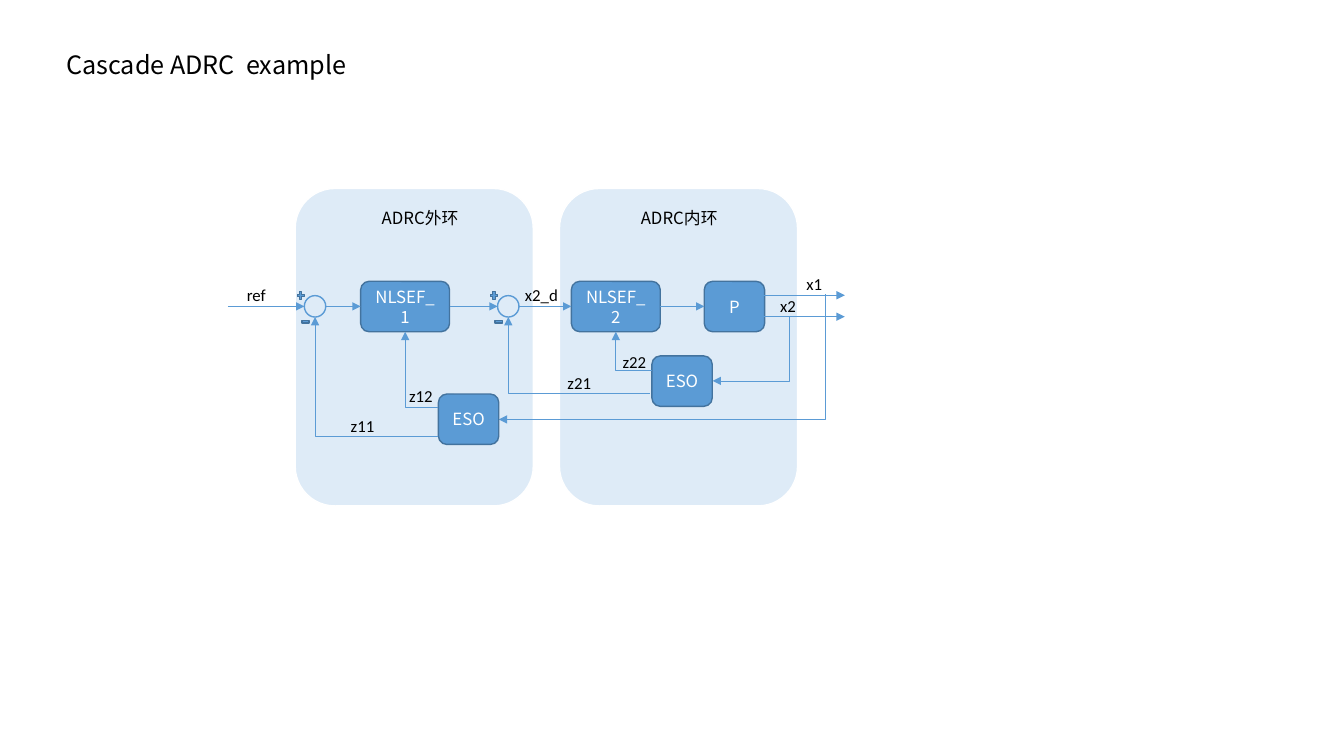
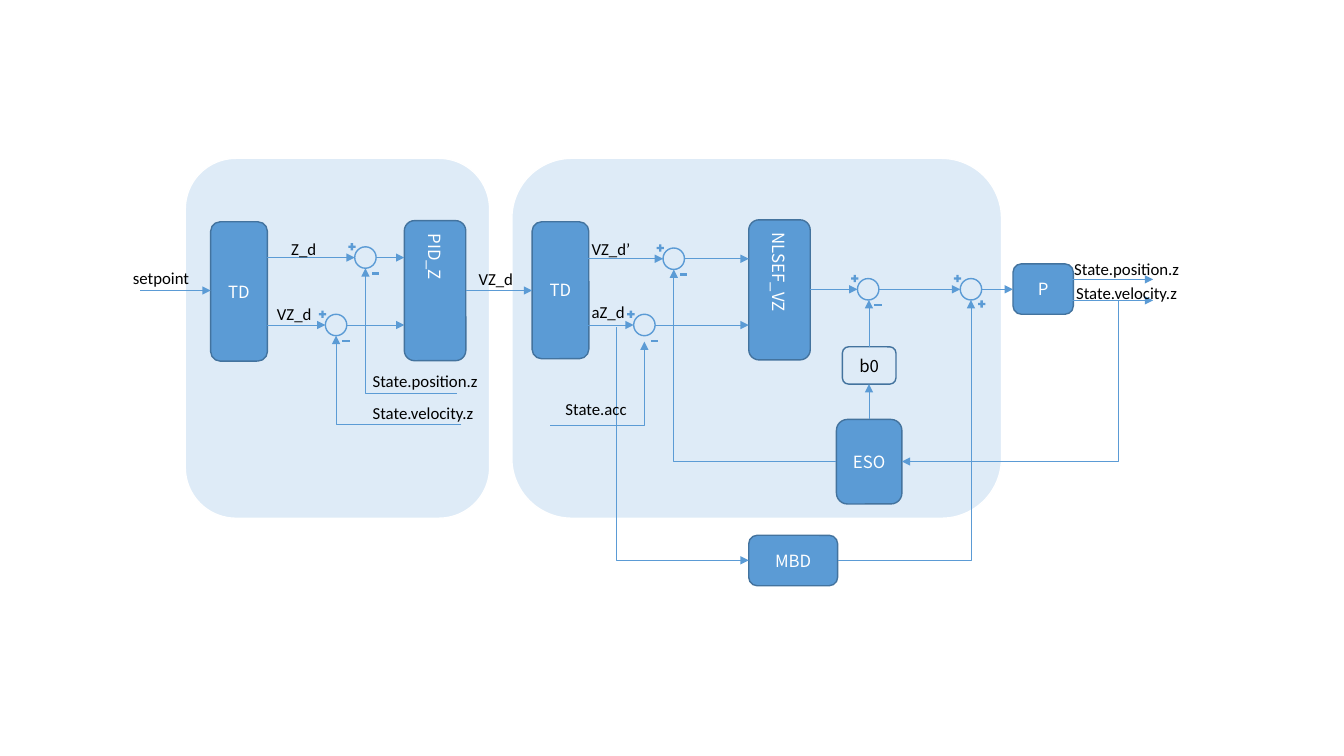
from dataclasses import dataclass
from typing import Any

from lxml.etree import SubElement
from pptx import Presentation
from pptx.dml.color import RGBColor
from pptx.enum.shapes import MSO_CONNECTOR as Link, MSO_SHAPE as Shape
from pptx.enum.text import MSO_ANCHOR as Anchor, PP_ALIGN as Align
from pptx.oxml.ns import qn
from pptx.util import Cm, Pt

COLORS = {
    "panel": "DEEBF7",
    "block": "5B9BD5",
    "edge": "43739E",
    "white": "FFFFFF",
    "black": "000000",
}
LATIN, CJK = "Calibri", "Noto Sans CJK SC"
RADIUS = 0.27  # summing circle
SIGN_SIZE = 0.25
BLOCK_HEIGHT = 1.27
WIDE, NARROW = 2.24, 1.52  # block widths


def color(name):
    return RGBColor.from_string(COLORS[name])


def write(frame, text, font, size, color_name, align=Align.LEFT):
    frame.word_wrap = True
    para = frame.paragraphs[0]
    para.text = text
    para.alignment = align
    para.font.name = font
    para.font.size = Pt(size)
    para.font.color.rgb = color(color_name)
    SubElement(para.font._element, qn("a:ea"), typeface=font)


@dataclass
class Region:
    """A part of a page; its members are placed in cm from its top left corner."""
    page: Any
    left: float
    top: float
    width: float
    height: float

    def spot(self, x, y):
        return Cm(self.left + x), Cm(self.top + y)

    def shape(self, kind, x, y, width, height, fill=None, edge=None, weight=1):
        shape = self.page.shapes.add_shape(kind, *self.spot(x, y), Cm(width), Cm(height))
        shape.shadow.inherit = False
        if fill:
            shape.fill.solid()
            shape.fill.fore_color.rgb = color(fill)
        else:
            shape.fill.background()
        if edge:
            shape.line.color.rgb = color(edge)
            shape.line.width = Pt(weight)
        else:
            shape.line.fill.background()
        return shape

    def panel(self):
        self.shape(Shape.ROUNDED_RECTANGLE, 0, 0, self.width, self.height, "panel", "white")

    def block(self, text, x, y, width=NARROW, height=BLOCK_HEIGHT,
              fill="block", ink="white", vertical=False):
        block = self.shape(Shape.ROUNDED_RECTANGLE, x, y, width, height, fill, "edge")
        frame = block.text_frame
        frame.vertical_anchor = Anchor.MIDDLE
        write(frame, text, CJK, 12, ink, Align.CENTER)
        if vertical:
            frame._txBody.bodyPr.set("vert", "eaVert")

    def label(self, text, x, y, width=1.32, height=0.77, font=LATIN, size=12):
        box = self.page.shapes.add_textbox(*self.spot(x, y), Cm(width), Cm(height))
        write(box.text_frame, text, font, size, "black")

    def summer(self, x, y, signs):
        """Circle centred at x, y; signs are (kind, dx, dy, edge, weight)."""
        self.shape(Shape.FLOWCHART_CONNECTOR, x - RADIUS, y - RADIUS,
                   2 * RADIUS, 2 * RADIUS, edge="block")
        for kind, dx, dy, edge, weight in signs:
            self.shape(kind, x + dx - SIGN_SIZE / 2, y + dy - SIGN_SIZE / 2,
                       SIGN_SIZE, SIGN_SIZE, "block", edge, weight)

    def connect(self, kind, start, end, arrow):
        link = self.page.shapes.add_connector(kind, *self.spot(*start), *self.spot(*end))
        link.line.color.rgb = color("block")
        link.line.width = Pt(0.5)
        properties = link._element.spPr
        SubElement(properties.find(qn("a:ln")), qn(f"a:{arrow}End"), type="triangle")
        SubElement(properties, qn("a:effectLst"))
        return properties

    def arrow(self, start, end):
        self.connect(Link.STRAIGHT, start, end, "tail")

    def flow(self, y, *spans):
        """Level arrows at height y, one for each (from, to) pair."""
        for x1, x2 in spans:
            self.arrow((x1, y), (x2, y))

    def elbow(self, start, end, arrow="tail"):
        """One corner: level from start, then upright to end."""
        properties = self.connect(Link.ELBOW, start, end, arrow)
        properties.find(qn("a:prstGeom")).set("prst", "bentConnector2")
        frame = properties.find(qn("a:xfrm"))
        if frame.get("flipH") and frame.get("flipV"):
            del frame.attrib["flipH"], frame.attrib["flipV"]
            frame.set("rot", "10800000")


CASCADE_SIGNS = (
    (Shape.MATH_PLUS, -0.36, -0.27, "edge", 0),
    (Shape.MATH_MINUS, -0.24, 0.39, "edge", 1),
)
PLUS = (Shape.MATH_PLUS, -0.34, -0.27, None, 0)
MINUS = (Shape.MATH_MINUS, 0.25, 0.4, None, 0)
LOWER_PLUS = (Shape.MATH_PLUS, 0.27, 0.37, None, 0)


def cascade_outer(region):
    axis = 2.97
    region.label("ADRC外环", 1.93, 0.36, 2.44, font=CJK)
    region.block("NLSEF_1", 1.65, 2.34, WIDE)
    region.block("ESO", 3.61, 5.18)
    for x in (0.5, 5.37):
        region.summer(x, axis, CASCADE_SIGNS)
    region.flow(axis, (-1.7, 0.23), (0.77, 1.65), (3.89, 5.1), (5.64, 6.96))
    region.elbow((3.61, 5.52), (2.77, 3.61))
    region.elbow((3.61, 6.25), (0.5, axis + RADIUS))
    region.label("z12", 2.62, 4.85)
    region.label("z11", 1.15, 5.61)
    region.label("x2_d", 5.54, 2.31, 1.7)
    region.label("ref", -1.47, 2.29, 1.7)


def cascade_inner(region):
    region.label("ADRC内环", 1.8, 0.36, 2.44, font=CJK)
    region.block("NLSEF_2", 0.3, 2.34, WIDE)
    region.block("P", 3.65, 2.34)
    region.block("ESO", 2.33, 4.22)
    region.flow(2.97, (2.54, 3.65))
    for y in (2.69, 3.23):
        region.flow(y, (4.95, 7.19))
    region.elbow((3.86, 4.85), (5.79, 3.23), "head")
    region.elbow((-1.53, 5.82), (6.7, 2.67), "head")
    region.elbow((2.28, 5.16), (-1.29, 3.24))
    region.elbow((2.33, 4.57), (1.42, 3.61))
    region.label("x1", 5.97, 2.03)
    region.label("x2", 5.31, 2.59)
    region.label("z22", 1.34, 3.99)
    region.label("z21", -0.05, 4.52)


def position_loop(region):
    upper, middle, lower = 2.5, 3.33, 4.2
    region.block("TD", 0.64, 1.6, 1.43, 3.51)
    region.block("PID_Z", 5.52, 1.57, 1.55, 3.53, vertical=True)
    region.summer(4.54, upper, (PLUS, MINUS))
    region.summer(3.8, lower, (PLUS, MINUS))
    region.flow(upper, (2.07, 4.27), (4.81, 5.52))
    region.flow(middle, (-1.14, 0.64), (7.07, 8.74))
    region.flow(lower, (2.07, 3.53), (4.07, 5.52))
    region.elbow((6.84, 5.92), (4.54, upper + RADIUS))
    region.elbow((6.96, 6.7), (3.8, lower + RADIUS))
    region.label("setpoint", -1.57, 2.64, 2.34)
    region.label("Z_d", 2.42, 1.9)
    region.label("VZ_d", 2.06, 3.55, 1.78)
    region.label("VZ_d", 7.14, 2.66, 1.6)
    region.label("State.position.z", 4.47, 5.23, 3.45)
    region.label("State.velocity.z", 4.47, 6.04, 3.45)


def velocity_loop(region):
    upper, middle, lower = 2.53, 3.3, 4.2
    region.block("TD", 0.51, 1.6, 1.43, 3.45)
    region.block("NLSEF_VZ", 5.97, 1.55, 1.55, 3.53, vertical=True)
    region.block("ESO", 8.18, 6.58, 1.65, 2.13)
    region.block("b0", 8.33, 4.75, 1.35, 0.94, fill=None, ink="black")
    region.block("P", 12.63, 2.66)
    region.block("MBD", 5.97, 9.5, WIDE)

    region.summer(4.08, upper, (PLUS, MINUS))
    region.summer(3.34, lower, (PLUS, MINUS))
    region.summer(8.98, middle, (PLUS, MINUS))
    region.summer(11.57, middle, (PLUS, LOWER_PLUS))

    region.flow(upper, (1.93, 3.81), (4.35, 5.97))
    region.flow(middle, (7.52, 8.71), (9.25, 11.3), (11.84, 12.63))
    region.flow(lower, (1.93, 3.07), (3.61, 5.97))
    for y in (3.05, 3.58):
        region.flow(y, (13.92, 16.16))
    region.arrow((9, 6.58), (9, 5.69))
    region.arrow((9, 4.75), (9, middle + RADIUS))

    region.elbow((9.83, 7.64), (15.29, 3.6), "head")
    region.elbow((8.18, 7.64), (4.08, upper + RADIUS))
    region.elbow((0.97, 6.73), (3.34, 4.62))
    region.elbow((8.21, 10.13), (11.57, middle + RADIUS))
    region.elbow((5.97, 10.13), (2.64, 4.24), "head")

    region.label("VZ_d’", 1.76, 1.9, 1.6)
    region.label("aZ_d", 1.76, 3.48, 1.78)
    region.label("State.acc", 1.1, 5.94, 2.21)
    region.label("State.position.z", 13.92, 2.41, 4.24)
    region.label("State.velocity.z", 13.97, 3, 3.4)


def add_page(deck, parts):
    """Draw every panel first, so that lines may cross from one to the next."""
    page = deck.slides.add_slide(deck.slide_layouts[6])
    regions = [(Region(page, *box), draw) for draw, box in parts]
    for region, _ in regions:
        region.panel()
    for region, draw in regions:
        draw(region)
    return page


def main():
    deck = Presentation()
    deck.slide_width, deck.slide_height = Cm(33.87), Cm(19.05)
    cascade = add_page(deck, (
        (cascade_inner, (14.1, 4.75, 6, 8)),
        (cascade_outer, (7.44, 4.75, 6, 8)),
    ))
    heading = Region(cascade, 1.42, 1.12, 8.48, 1.02)
    heading.label("Cascade ADRC  example", 0, 0, heading.width, heading.height, CJK, 18)
    add_page(deck, (
        (velocity_loop, (12.9, 3.99, 12.34, 9.07)),
        (position_loop, (4.67, 3.99, 7.67, 9.07)),
    ))
    deck.save("out.pptx")


if __name__ == "__main__":
    main()
